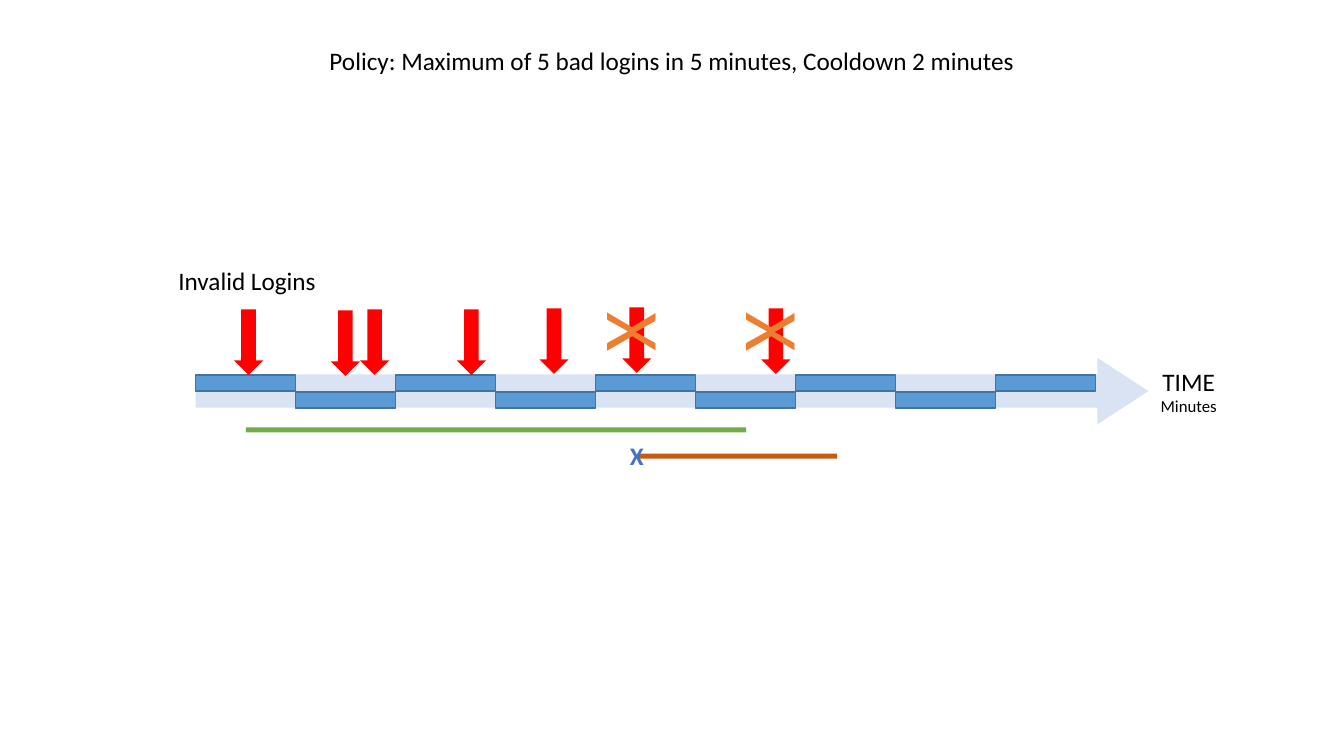
from pptx import Presentation
from pptx.dml.color import RGBColor
from pptx.enum.shapes import MSO_SHAPE
from pptx.enum.text import MSO_AUTO_SIZE, PP_ALIGN
from pptx.util import Inches, Pt

COLORS = {
    "timeline": "DAE3F3", "minute": "5B9BD5", "minute_edge": "43739E",
    "login": "FF0000", "window": "70AD47", "cooldown": "C55A11",
    "blocked": "ED7D31", "lockout": "4472C4", "text": "000000",
}


def add_block(shapes, kind, bounds, color, edge=None):
    block = shapes.add_shape(kind, *[Inches(value) for value in bounds])
    block.shadow.inherit = False
    block.fill.solid()
    block.fill.fore_color.rgb = RGBColor.from_string(COLORS[color])
    if edge:
        block.line.color.rgb = RGBColor.from_string(COLORS[edge])
        block.line.width = Pt(1)
    else:
        block.line.fill.background()
    return block


def add_label(shapes, bounds, lines, color="text", align=PP_ALIGN.LEFT, wrap=False, bold=False):
    box = shapes.add_textbox(*[Inches(value) for value in bounds])
    frame = box.text_frame
    frame.word_wrap = wrap
    frame.auto_size = MSO_AUTO_SIZE.SHAPE_TO_FIT_TEXT
    for index, (text, size) in enumerate(lines):
        para = frame.add_paragraph() if index else frame.paragraphs[0]
        para.alignment = align
        span = para.add_run()
        span.text = text
        font_format = {"name": "Calibri", "size": Pt(size), "bold": bold}
        for attribute, value in font_format.items():
            setattr(span.font, attribute, value)
        span.font.color.rgb = RGBColor.from_string(COLORS[color])
    return box


deck = Presentation()
deck.slide_width, deck.slide_height = Inches(13.33), Inches(7.5)
page = deck.slides.add_slide(deck.slide_layouts[6])
shapes = page.shapes

# Time arrow
timeline = add_block(shapes, MSO_SHAPE.RIGHT_ARROW, (1.94, 3.55, 9.45, 0.66), "timeline")
timeline.adjustments[0] = 0.5
timeline.adjustments[1] = 0.767

# Nine minutes, alternating between the upper and lower half of the arrow
MINUTE = 0.992
for minute in range(9):
    top = 3.89 if minute % 2 else 3.72
    add_block(shapes, MSO_SHAPE.RECTANGLE, (1.94 + minute * MINUTE, top, MINUTE, 0.16),
              "minute", "minute_edge")

# Counted invalid logins
for left, top in [(2.32, 3.07), (3.28, 3.08), (3.57, 3.07), (4.53, 3.07), (5.35, 3.06)]:
    add_block(shapes, MSO_SHAPE.DOWN_ARROW, (left, top, 0.29, 0.65), "login")

# Five-minute window and two-minute cooldown
add_block(shapes, MSO_SHAPE.RECTANGLE, (2.44, 4.24, 5 * MINUTE, 0.05), "window")
add_block(shapes, MSO_SHAPE.RECTANGLE, (6.32, 4.5, 2 * MINUTE, 0.05), "cooldown")

# Labels
add_label(shapes, (11.41, 3.58, 0.76, 0.61), [("TIME", 18), ("Minutes", 12)],
          align=PP_ALIGN.CENTER)
add_label(shapes, (1.67, 2.58, 1.58, 0.4), [("Invalid Logins", 18)])
add_label(shapes, (0, 0.4, 13.33, 0.4),
          [("Policy: Maximum of 5 bad logins in 5 minutes, Cooldown 2 minutes", 18)],
          align=PP_ALIGN.CENTER, wrap=True)
add_label(shapes, (6.15, 4.32, 0.34, 0.4), [("X", 18)], color="lockout", bold=True)

# Blocked logins: an arrow crossed out by a rotated X
for left, top in [(6.17, 3.05), (7.55, 3.06)]:
    blocked = shapes.add_group_shape()
    add_block(blocked.shapes, MSO_SHAPE.DOWN_ARROW, (left, top, 0.29, 0.65), "login")
    cross = add_label(blocked.shapes, (left - 0.15, 2.79, 0.59, 1.01), [("X", 54)], color="blocked")
    cross.rotation = 90

deck.save("out.pptx")
